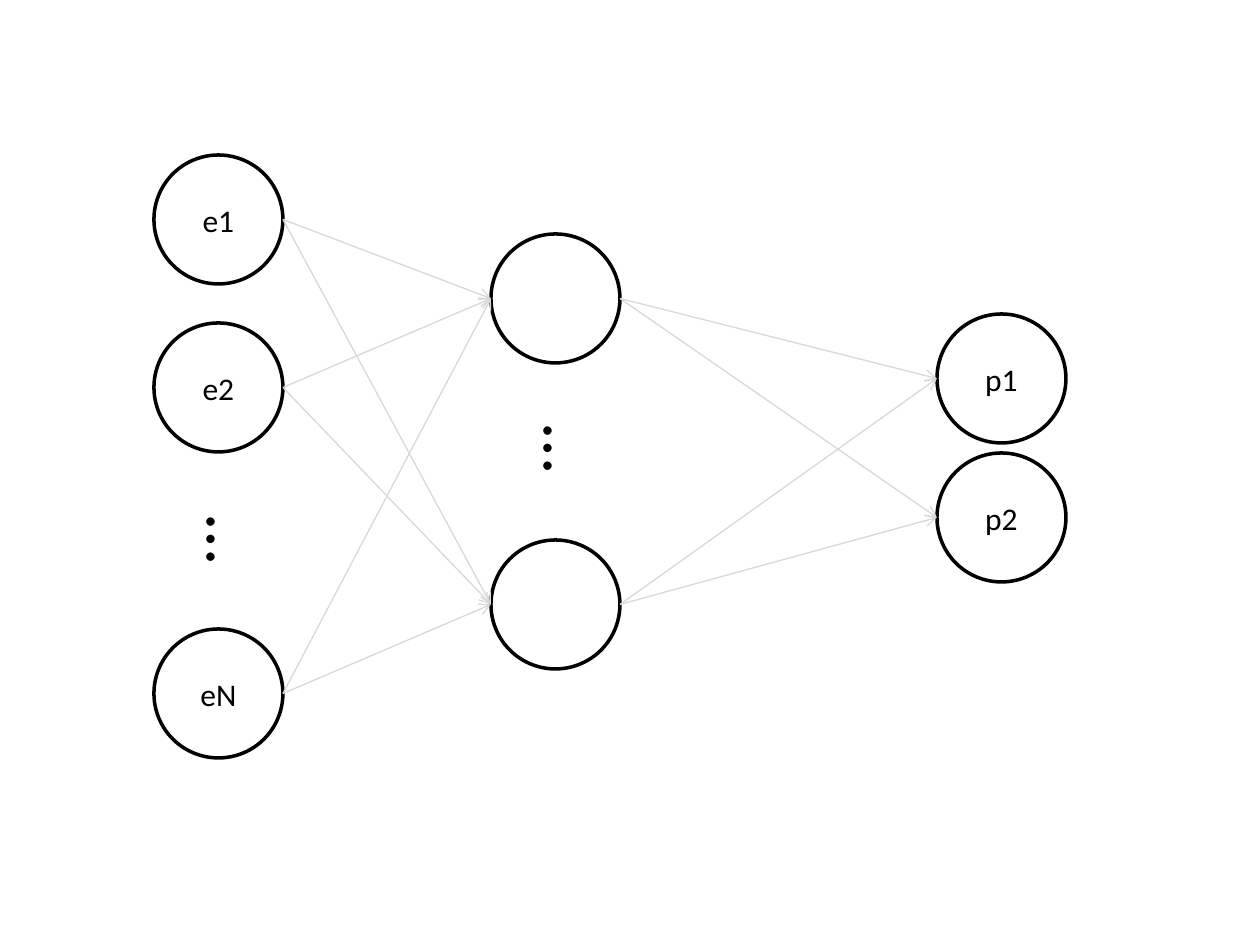
from dataclasses import dataclass
from itertools import product

from lxml import etree
from pptx import Presentation
from pptx.dml.color import RGBColor
from pptx.enum.shapes import MSO_CONNECTOR, MSO_SHAPE
from pptx.enum.text import MSO_ANCHOR, MSO_AUTO_SIZE, PP_ALIGN
from pptx.oxml.ns import qn
from pptx.util import Pt

OVAL = MSO_SHAPE.OVAL
STRAIGHT = MSO_CONNECTOR.STRAIGHT
MIDDLE = MSO_ANCHOR.MIDDLE
GROW = MSO_AUTO_SIZE.SHAPE_TO_FIT_TEXT
CENTER = PP_ALIGN.CENTER
SCALE = 914400 / 126
NODE = 129  # diameter of a node


@dataclass(frozen=True)
class Theme:
    ink: RGBColor = RGBColor(0, 0, 0)
    edge: RGBColor = RGBColor(0xD8, 0xD8, 0xD8)
    font: str = "Calibri"
    label: int = 18
    dots: int = 40
    ring: float = 2
    thin: float = 0.75


THEME = Theme()


def px(*sizes):
    return [round(size * SCALE) for size in sizes]


def write(frame, text, size):
    frame.text = text
    font = frame.paragraphs[0].runs[0].font
    font.name = THEME.font
    font.size = Pt(size)
    font.color.rgb = THEME.ink


def draw_node(slide, left, top, label):
    node = slide.shapes.add_shape(OVAL, *px(left, top, NODE, NODE))
    node.shadow.inherit = False
    node.fill.background()
    node.line.color.rgb = THEME.ink
    node.line.width = Pt(THEME.ring)
    if label:
        frame = node.text_frame
        write(frame, label, THEME.label)
        frame.vertical_anchor = MIDDLE
        frame.paragraphs[0].alignment = CENTER


def draw_dots(slide, left, top):
    box = slide.shapes.add_textbox(*px(left, top, 89, 97))
    box.rotation = 90
    frame = box.text_frame
    frame.word_wrap = True
    write(frame, "…", THEME.dots)
    frame.auto_size = GROW


def draw_layer(slide, left, top, nodes, gap=None):
    """Draw a column of (offset, label) nodes; return its left and right ports."""
    for drop, label in nodes:
        draw_node(slide, left, top + drop, label)
    if gap is not None:
        draw_dots(slide, left + 36, top + gap)
    mids = [top + drop + NODE / 2 for drop, _ in nodes]
    return [(left, y) for y in mids], [(left + NODE, y) for y in mids]


def draw_edges(slide, starts, ends):
    for start, end in product(starts, ends):
        edge = slide.shapes.add_connector(STRAIGHT, *px(*start, *end))
        edge.line.color.rgb = THEME.edge
        edge.line.width = Pt(THEME.thin)
        # Open arrowhead at the end, no shadow
        etree.SubElement(edge.line._get_or_add_ln(), qn("a:tailEnd"), type="arrow")
        etree.SubElement(edge._element.spPr, qn("a:effectLst"))


def draw_network(slide, left, top):
    # Input, hidden and output layers
    _, inputs = draw_layer(
        slide, left, top, [(0, "e1"), (168, "e2"), (474, "eN")], gap=344)
    entry, leave = draw_layer(
        slide, left + 337, top + 79, [(0, ""), (306, "")], gap=174)
    outputs, _ = draw_layer(
        slide, left + 783, top + 159, [(0, "p1"), (139, "p2")])
    # Every node feeds every node of the next layer
    draw_edges(slide, inputs, entry)
    draw_edges(slide, leave, outputs)


def main():
    deck = Presentation()
    deck.slide_width, deck.slide_height = px(1260, 945)
    slide = deck.slides.add_slide(deck.slide_layouts[6])
    draw_network(slide, 154, 155)
    deck.save("out.pptx")


if __name__ == "__main__":
    main()
